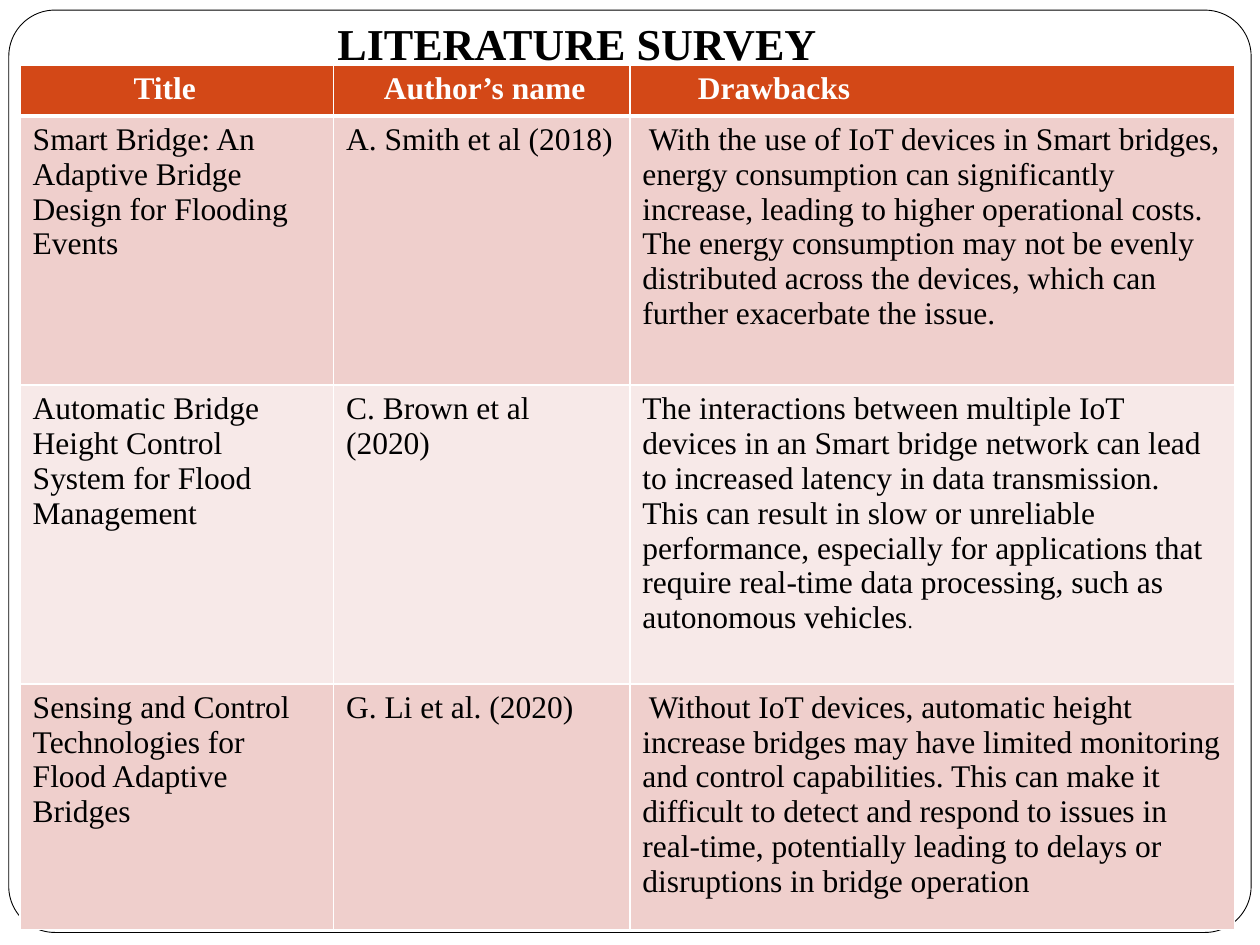
from dataclasses import dataclass

import pptx
import pptx.dml.color
import pptx.enum.shapes
import pptx.enum.text
import pptx.oxml.ns
import pptx.util
from lxml import etree

WIDTH, HEIGHT = 10, 7.5


@dataclass(frozen=True)
class Theme:
    font: str = "Times New Roman"
    title_size: float = 25.2
    body_size: float = 18
    small_size: float = 12
    ink: str = "000000"
    paper: str = "FFFFFF"
    header: str = "D34817"
    bands: tuple[str, str] = ("EFCFCC", "F7E9E8")
    frame_line: float = 0.5
    rule: float = 1
    header_rule: float = 3


@dataclass(frozen=True)
class Column:
    heading: str
    share: float  # of the table's width
    indent: float  # of the heading, in inches


@dataclass(frozen=True)
class Study:
    title: str
    author: str
    drawback: str
    share: float  # of the table's height
    indent: float = 0  # first line of the drawback, in inches
    ending: str = ""  # closing mark in small type


THEME = Theme()
TABLE_WIDTH, TABLE_HEIGHT = 0.964 * WIDTH, 0.9133 * HEIGHT
HEADER_SHARE = 0.057

COLUMNS = (
    Column("Title", 0.258, 0.8),
    Column("Author’s name", 0.244, 0.3),
    Column("Drawbacks", 0.498, 0.44),
)

STUDIES = (
    Study(
        "Smart Bridge: An Adaptive Bridge Design for Flooding Events",
        "A. Smith et al (2018)",
        "With the use of IoT devices in Smart bridges, energy consumption can "
        "significantly increase, leading to higher operational costs. The energy "
        "consumption may not be evenly distributed across the devices, which can "
        "further exacerbate the issue.",
        0.312, indent=0.05,
    ),
    Study(
        "Automatic Bridge Height Control System for Flood Management",
        "C. Brown et al (2020)",
        "The interactions between multiple IoT devices in an Smart bridge network "
        "can lead to increased latency in data transmission. This can result in "
        "slow or unreliable performance, especially for applications that require "
        "real-time data processing, such as autonomous vehicles",
        0.346, ending=".",
    ),
    Study(
        "Sensing and Control Technologies for Flood Adaptive Bridges",
        "G. Li et al. (2020)",
        "Without IoT devices, automatic height increase bridges may have limited "
        "monitoring and control capabilities. This can make it difficult to detect "
        "and respond to issues in real-time, potentially leading to delays or "
        "disruptions in bridge operation",
        0.285, indent=0.05,
    ),
)


def rgb(value: str) -> pptx.dml.color.RGBColor:
    return pptx.dml.color.RGBColor.from_string(value)


def box(left: float, top: float, width: float, height: float) -> list[int]:
    """Turn shares of the slide into lengths."""
    return [pptx.util.Inches(share * side) for share, side in
            zip((left, top, width, height), (WIDTH, HEIGHT) * 2)]


def write(frame, text: str, *, size: float = THEME.body_size, color: str = THEME.ink,
          bold: bool = False, indent: float = 0) -> None:
    """Add a run to the frame's paragraph, with an optional first-line indent."""
    paragraph = frame.paragraphs[0]
    if indent:
        paragraph._p.get_or_add_pPr().set("indent", str(pptx.util.Inches(indent)))
    run = paragraph.add_run()
    run.text = text
    run.font.name = THEME.font
    run.font.size = pptx.util.Pt(size)
    run.font.bold = bold
    run.font.color.rgb = rgb(color)


def paint_cell(cell, fill: str, top: float, bottom: float) -> None:
    """Fill a cell and rule its four sides."""
    properties = cell._tc.get_or_add_tcPr()
    qn = pptx.oxml.ns.qn
    for side, width in (("L", THEME.rule), ("R", THEME.rule), ("T", top), ("B", bottom)):
        line = etree.SubElement(properties, qn(f"a:ln{side}"), w=str(pptx.util.Pt(width)))
        solid = etree.SubElement(line, qn("a:solidFill"))
        etree.SubElement(solid, qn("a:srgbClr"), val=THEME.paper)
    cell.fill.solid()
    cell.fill.fore_color.rgb = rgb(fill)


def draw_frame(slide) -> None:
    frame = slide.shapes.add_shape(
        pptx.enum.shapes.MSO_SHAPE.ROUNDED_RECTANGLE, *box(0.007, 0.0107, 0.986, 0.976))
    frame.adjustments[0] = 0.05
    frame.shadow.inherit = False
    frame.fill.solid()
    frame.fill.fore_color.rgb = rgb(THEME.paper)
    frame.line.color.rgb = rgb(THEME.ink)
    frame.line.width = pptx.util.Pt(THEME.frame_line)


def draw_title(slide) -> None:
    title = slide.shapes.add_textbox(*box(0.1, 0.0173, 0.85, 0.0733)).text_frame
    title.word_wrap = True
    title.vertical_anchor = pptx.enum.text.MSO_ANCHOR.BOTTOM
    title.margin_bottom = pptx.util.Inches(0.13)
    write(title, "LITERATURE SURVEY", size=THEME.title_size, bold=True, indent=1.58)


def draw_survey(slide) -> None:
    survey = slide.shapes.add_table(
        len(STUDIES) + 1, len(COLUMNS),
        *box(0.016, 0.0693, TABLE_WIDTH / WIDTH, TABLE_HEIGHT / HEIGHT)).table
    for grid_column, column in zip(survey.columns, COLUMNS):
        grid_column.width = pptx.util.Inches(column.share * TABLE_WIDTH)
    for row, share in zip(survey.rows, (HEADER_SHARE, *(s.share for s in STUDIES))):
        row.height = pptx.util.Inches(share * TABLE_HEIGHT)

    # Header row
    for number, column in enumerate(COLUMNS):
        cell = survey.cell(0, number)
        paint_cell(cell, THEME.header, THEME.rule, THEME.header_rule)
        write(cell.text_frame, column.heading, color=THEME.paper, bold=True,
              indent=column.indent)

    # One banded row per study
    for number, study in enumerate(STUDIES, start=1):
        top = THEME.header_rule if number == 1 else THEME.rule
        cells = survey.rows[number].cells
        for cell in cells:
            paint_cell(cell, THEME.bands[(number - 1) % 2], top, THEME.rule)
        title, author, drawback = (cell.text_frame for cell in cells)
        write(title, study.title)
        write(author, study.author)
        write(drawback, study.drawback, indent=study.indent)
        if study.ending:
            write(drawback, study.ending, size=THEME.small_size)


def main() -> None:
    deck = pptx.Presentation()
    deck.slide_width, deck.slide_height = pptx.util.Inches(WIDTH), pptx.util.Inches(HEIGHT)
    slide = deck.slides.add_slide(deck.slide_layouts[6])
    draw_frame(slide)
    draw_title(slide)
    draw_survey(slide)
    deck.save("out.pptx")


if __name__ == "__main__":
    main()
